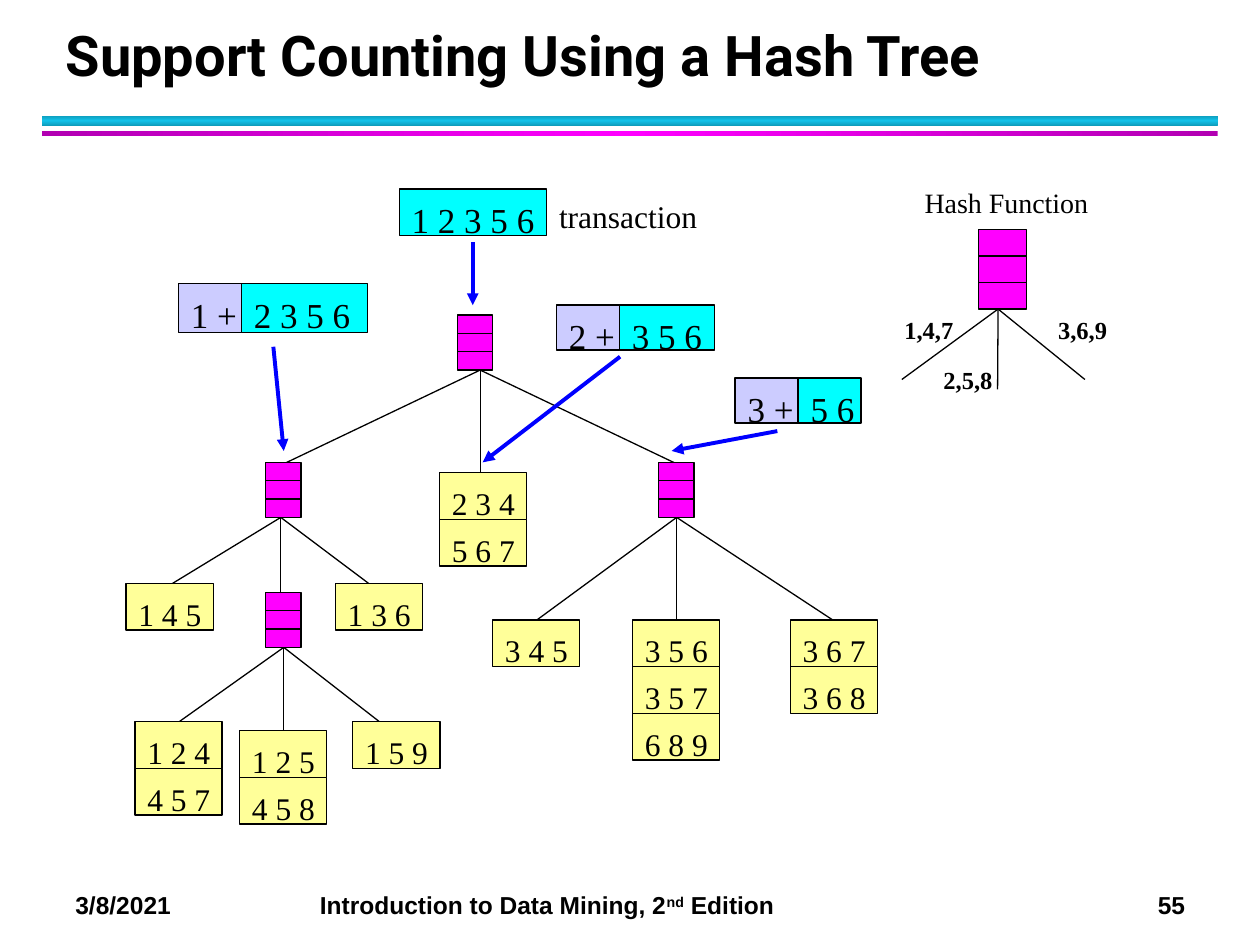
from copy import deepcopy
from dataclasses import dataclass

from lxml.etree import SubElement
from pptx import Presentation
from pptx.dml.color import RGBColor
from pptx.enum.shapes import MSO_CONNECTOR as Connector, MSO_SHAPE as Shape
from pptx.enum.text import MSO_ANCHOR as Anchor, PP_ALIGN as Align
from pptx.oxml.ns import qn
from pptx.util import Cm, Pt


@dataclass(frozen=True)
class Theme:
    ink: str = "000000"
    node: str = "FF00FF"
    leaf: str = "FFFF99"
    items: str = "00FFFF"
    prefix: str = "CCCCFF"
    arrow: str = "0000FF"
    teal_bar: tuple = ("0E9BBA", "12C2E9", "0E9BBA")
    purple_bar: tuple = ("B200B2", "FF00FF", "B200B2")
    title_font: str = "Roboto"
    body_font: str = "Times New Roman"
    footer_font: str = "Arial"
    title_size: int = 32
    items_size: int = 20
    leaf_size: int = 18
    heading_size: int = 16
    small_size: int = 14
    thin: float = 0.75
    thick: float = 2.25


@dataclass(frozen=True)
class Box:
    """Position and size in centimetres."""
    left: float
    top: float
    width: float
    height: float

    def inner(self, left, top, width, height):
        return Box(self.left + left, self.top + top, width, height)

    def point(self, x, y):
        return self.left + x, self.top + y

    def lengths(self):
        return [Cm(v) for v in (self.left, self.top, self.width, self.height)]


THEME = Theme()
NODE_SIZE = (0.71, 1.11)
LEAF_SIZE = (1.76, 0.94)
PREFIX_WIDTH = 1.27

# Inner nodes: left, top, x of the fork, ends of the branches
NODES = [
    (6.68, 0, 7.14, [(3.18, 3), (7.14, 3.18), (11.1, 3)]),
    (2.82, 2.97, 3.12, [(0.89, 5.44), (3.12, 5.59), (4.93, 5.44)]),
    (10.74, 2.97, 11.1, [(8.28, 6.15), (11.1, 6.15), (14.25, 6.15)]),
    (2.82, 5.59, 3.18, [(1.07, 8.2), (3.18, 8.38), (5.11, 8.2)]),
]
# Leaves: left, top, candidate itemsets
LEAVES = [
    (0, 5.41, ["1 4 5"]),
    (4.22, 5.41, ["1 3 6"]),
    (6.32, 3.18, ["2 3 4", "5 6 7"]),
    (7.39, 6.15, ["3 4 5"]),
    (10.21, 6.15, ["3 5 6", "3 5 7", "6 8 9"]),
    (13.39, 6.15, ["3 6 7", "3 6 8"]),
    (0.18, 8.2, ["1 2 4", "4 5 7"]),
    (2.29, 8.38, ["1 2 5", "4 5 8"]),
    (4.57, 8.2, ["1 5 9"]),
]
PARTITIONS = [
    (Box(3.6, 5.72, 3.81, 0.99), "1 +", "2 3 5 6"),
    (Box(11.22, 6.15, 3.18, 0.91), "2 +", "3 5 6"),
    (Box(14.82, 7.62, 2.54, 0.91), "3 +", "5 6"),
]
ARROWS = [
    ((9.53, 4.88), (9.53, 6.15)),
    ((5.51, 6.99), (5.72, 9.09)),
    ((12.5, 7.19), (9.73, 9.32)),
    ((15.67, 8.69), (13.54, 9.09)),
]


def set_font(para, name, size, bold=False):
    para.font.name, para.font.size, para.font.bold = name, Pt(size), bold
    para.font.color.rgb = RGBColor.from_string(THEME.ink)


def add_line(page, start, end, color=THEME.ink, width=THEME.thin, arrow=False):
    points = [Cm(v) for v in (*start, *end)]
    line = page.shapes.add_connector(Connector.STRAIGHT, *points)
    line.line.color.rgb = RGBColor.from_string(color)
    line.line.width = Pt(width)
    if arrow:
        SubElement(line.line._get_or_add_ln(), qn("a:tailEnd"), type="triangle")
    SubElement(line._element.spPr, qn("a:effectLst"))


def add_rect(page, box, fill):
    rect = page.shapes.add_shape(Shape.RECTANGLE, *box.lengths())
    rect.shadow.inherit = False
    rect.fill.solid()
    rect.fill.fore_color.rgb = RGBColor.from_string(fill)
    rect.line.color.rgb = RGBColor.from_string(THEME.ink)
    rect.line.width = Pt(THEME.thin)
    return rect


def add_cell(page, box, text, fill, size, top_inset=0.2):
    frame = add_rect(page, box, fill).text_frame
    frame.word_wrap = True
    frame.vertical_anchor = Anchor.TOP
    frame.margin_left, frame.margin_top = Cm(0.25), Cm(top_inset)
    frame.margin_right = frame.margin_bottom = 0
    para = frame.paragraphs[0]
    para.text, para.alignment = text, Align.LEFT
    set_font(para, THEME.body_font, size)


def add_label(page, box, text, size, bold=False):
    frame = page.shapes.add_textbox(*box.lengths()).text_frame
    frame.word_wrap = False
    para = frame.paragraphs[0]
    para.text = text
    set_font(para, THEME.body_font, size, bold)


def add_node(page, box, fork, ends):
    """Three-slot hash node with a branch from its fork to each end."""
    for end in ends:
        add_line(page, fork, end)
    add_rect(page, box, THEME.node)
    for slot in (1, 2):
        y = slot * box.height / 3
        add_line(page, box.point(0, y), box.point(box.width, y))


def add_title(page, box):
    title = page.shapes.title
    title.left, title.top, title.width, title.height = box.lengths()
    frame = title.text_frame
    frame.word_wrap, frame.vertical_anchor = True, Anchor.BOTTOM
    para = frame.paragraphs[0]
    para.text, para.alignment = "Support Counting Using a Hash Tree", Align.LEFT
    para.line_spacing = Pt(36)
    set_font(para, THEME.title_font, THEME.title_size, bold=True)


def add_rules(page, box):
    bars = [(0, 0.21, THEME.teal_bar, 90), (0.31, 0.1, THEME.purple_bar, 0)]
    for top, height, colors, angle in bars:
        bar = add_rect(page, box.inner(0, top, box.width, height), colors[0])
        bar.line.fill.background()
        bar.fill.gradient()
        bar.fill.gradient_angle = angle
        stop_list = bar._element.spPr.find(qn("a:gradFill")).find(qn("a:gsLst"))
        stop_list.append(deepcopy(stop_list[0]))
        for i, (stop, color) in enumerate(zip(bar.fill.gradient_stops, colors)):
            stop.position = i / 2
            stop.color.rgb = RGBColor.from_string(color)


def add_tree(page, box):
    for left, top, fork_x, ends in NODES:
        fork = box.point(fork_x, top + NODE_SIZE[1])
        add_node(page, box.inner(left, top, *NODE_SIZE), fork,
                 [box.point(*end) for end in ends])
    for left, top, itemsets in LEAVES:
        for row, text in enumerate(itemsets):
            cell = box.inner(left, top + row * LEAF_SIZE[1], *LEAF_SIZE)
            add_cell(page, cell, text, THEME.leaf, THEME.leaf_size, 0.23)


def add_transaction(page, box):
    add_cell(page, box, "1 2 3 5 6", THEME.items, THEME.items_size)
    add_label(page, box.inner(box.width, 0.03, 3.3, 1.01), "transaction", THEME.leaf_size)


def add_partition(page, box, prefix, rest):
    add_cell(page, box.inner(0, 0, PREFIX_WIDTH, box.height), prefix,
             THEME.prefix, THEME.items_size)
    add_cell(page, box.inner(PREFIX_WIDTH, 0, box.width - PREFIX_WIDTH, box.height),
             rest, THEME.items, THEME.items_size)


def add_hash_function(page, box):
    add_label(page, box.inner(0.41, 0, 3.84, 0.94), "Hash Function", THEME.heading_size)
    ends = [(0.2, 4.04), (2.13, 4.24), (3.89, 4.04)]
    add_node(page, box.inner(1.75, 1.02, 0.97, 1.6), box.point(2.14, 2.62),
             [box.point(*end) for end in ends])
    for left, top, text in [(0, 2.62, "1,4,7"), (0.79, 3.63, "2,5,8"), (3.1, 2.62, "3,6,9")]:
        add_label(page, box.inner(left, top, 1.5, 0.84), text, THEME.small_size, bold=True)


def add_footer(page, box):
    frame = page.shapes.add_textbox(*box.lengths()).text_frame
    frame.word_wrap = True
    para = frame.paragraphs[0]
    tabs = SubElement(para._p.get_or_add_pPr(), qn("a:tabLst"))
    for stop in (4.93, 21.82):
        SubElement(tabs, qn("a:tab"), pos=str(Cm(stop)), algn="l")
    for text in ("3/8/2021\tIntroduction to Data Mining, 2", "nd", " Edition\t55"):
        span = para.add_run()
        span.text = text
        if text == "nd":
            span.font._element.set("baseline", "30000")
    set_font(para, THEME.footer_font, THEME.small_size, bold=True)


def main():
    deck = Presentation()
    deck.slide_width, deck.slide_height = Cm(25.4), Cm(19.05)
    page = deck.slides.add_slide(deck.slide_layouts[5])
    # Frame of the slide
    add_rules(page, Box(0.85, 2.33, 23.7, 0.41))
    add_footer(page, Box(1.27, 17.82, 23.7, 0.86))
    add_title(page, Box(1.07, 0.43, 23.01, 1.47))
    # Hash tree and the transaction matched against it
    add_tree(page, Box(2.54, 6.35, 15.15, 10.26))
    add_transaction(page, Box(8.05, 3.81, 2.97, 0.94))
    for start, end in ARROWS:
        add_line(page, start, end, THEME.arrow, THEME.thick, arrow=True)
    for box, prefix, rest in PARTITIONS:
        add_partition(page, box, prefix, rest)
    add_hash_function(page, Box(17.98, 3.61, 4.6, 4.24))
    deck.save("out.pptx")


if __name__ == "__main__":
    main()
